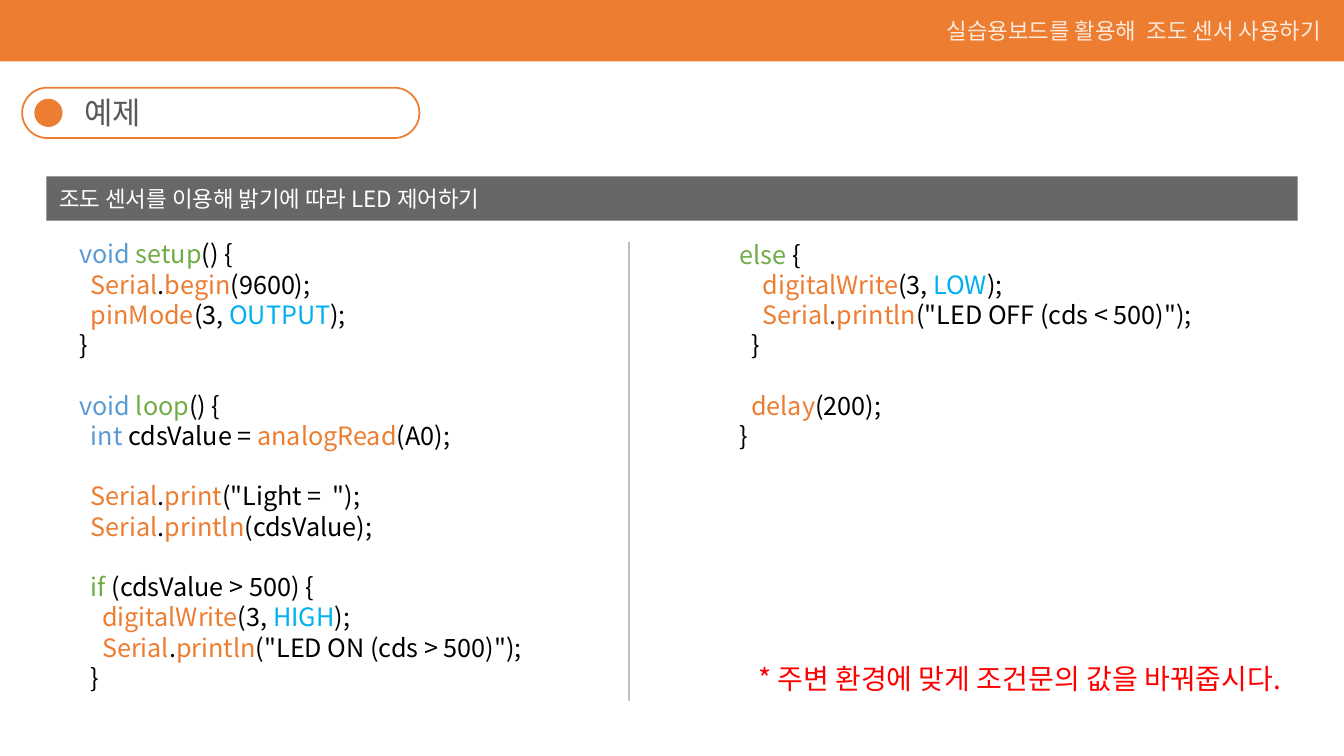
from itertools import groupby
from lxml import etree
from pptx import Presentation
from pptx import util as u
from pptx.dml.color import RGBColor
from pptx.enum import shapes, text
from pptx.oxml import ns

FONT = "Noto Sans CJK KR"
COLORS = {
    "orange": "ED7D31", "blue": "5B9BD5", "green": "70AD47", "cyan": "00B0F0",
    "gray": "595959", "divider": "BFBFBF", "red": "FF0000",
    "white": "FFFFFF", "black": "000000",
}
SYNTAX = {
    "blue": ["void", "int"],
    "green": ["setup", "loop", "if", "else"],
    "orange": ["Serial", "begin", "pinMode", "analogRead", "print", "println",
               "digitalWrite", "delay"],
    "cyan": ["OUTPUT", "HIGH", "LOW"],
}
HEADING = "예제"
LABELS = [
    ("조도 센서를 이용해 밝기에 따라 LED 제어하기", (49, 179, 632, 37), 16, "white", None),
    ("실습용보드를 활용해  조도 센서 사용하기", (929, 12, 404, 37), 16, "white", 83),
    ("* 주변 환경에 맞게 조건문의 값을 바꿔줍시다.", (742, 651, 545, 44), 20, "red", None),
]
CODE = [
    ((69, 232, 516, 464), """void setup() {
  Serial.begin(9600);
  pinMode(3, OUTPUT);
}

void loop() {
  int cdsValue = analogRead(A0);

  Serial.print("Light =  ");
  Serial.println(cdsValue);
  
  if (cdsValue > 500) {
    digitalWrite(3, HIGH);
    Serial.println("LED ON (cds > 500)");
  }"""),
    ((724, 232, 516, 222), """else {
    digitalWrite(3, LOW);
    Serial.println("LED OFF (cds < 500)");
  }
  
  delay(200);
}"""),
]
PANELS = [
    ("RECTANGLE", (0, 0, 1333, 61), "orange", None, None),
    ("ROUNDED_RECTANGLE", (22, 87, 394, 50), "white", "orange", None),
    ("OVAL", (34, 98, 28, 28), "orange", None, None),
    ("RECTANGLE", (46, 175, 1241, 44), "gray", None, 91),
]
WORD_COLORS = {word: color for color, words in SYNTAX.items() for word in words}


def px(value):
    return u.Emu(value * 9144)


def rgb(name):
    return RGBColor.from_string(COLORS[name])


def set_alpha(element, percent):
    color = element.find(".//" + ns.qn("a:srgbClr"))
    etree.SubElement(color, ns.qn("a:alpha")).set("val", str(percent * 1000))


def style(para, size, color, spacing, alpha=None):
    para.line_spacing = spacing
    para.font.size = u.Pt(size)
    para.font.name = FONT
    para.font.color.rgb = rgb(color)
    defaults = para._p.pPr.find(ns.qn("a:defRPr"))
    etree.SubElement(defaults, ns.qn("a:ea")).set("typeface", FONT)
    if alpha:
        set_alpha(defaults, alpha)


def add_panel(page, kind, bounds, fill, line, alpha):
    panel = page.shapes.add_shape(shapes.MSO_SHAPE[kind], *map(px, bounds))
    panel.shadow.inherit = False
    panel.fill.solid()
    panel.fill.fore_color.rgb = rgb(fill)
    if alpha:
        set_alpha(panel._element.spPr, alpha)
    if line:
        panel.line.color.rgb = rgb(line)
        panel.line.width = u.Pt(1.25)
        panel.adjustments[0] = 0.5
    else:
        panel.line.fill.background()


def add_frame(page, bounds):
    frame = page.shapes.add_textbox(*map(px, bounds)).text_frame
    frame.word_wrap = True
    frame.auto_size = text.MSO_AUTO_SIZE.SHAPE_TO_FIT_TEXT
    return frame


def add_label(page, words, bounds, size, color, alpha):
    para = add_frame(page, bounds).paragraphs[0]
    para.add_run().text = words
    style(para, size, color, u.Pt(size * 1.2), alpha)


def color_spans(line):
    tokens = ["".join(group) for _, group in groupby(line, str.isalnum)]
    for color, group in groupby(tokens, lambda token: WORD_COLORS.get(token, "black")):
        yield "".join(group), color


def add_code(page, bounds, source):
    frame = add_frame(page, bounds)
    for index, line in enumerate(source.split("\n")):
        para = frame.add_paragraph() if index else frame.paragraphs[0]
        style(para, 18, "black", u.Pt(21.6))
        for words, color in color_spans(line):
            span = para.add_run()
            span.text = words
            span.font.color.rgb = rgb(color)


def add_divider(page):
    divider = page.shapes.add_connector(
        shapes.MSO_CONNECTOR.STRAIGHT, *map(px, (624, 240, 624, 695)))
    divider.line.color.rgb = rgb("divider")
    divider.line.width = u.Pt(1.75)
    etree.SubElement(divider._element.spPr, ns.qn("a:effectLst"))


def place_heading(page):
    title = page.shapes.title
    title.left, title.top, title.width, title.height = map(px, (74, 95, 326, 38))
    title.text_frame.text = HEADING
    title.text_frame.vertical_anchor = text.MSO_ANCHOR.MIDDLE
    para = title.text_frame.paragraphs[0]
    para.alignment = text.PP_ALIGN.LEFT
    style(para, 22, "gray", 0.9)
    page.shapes._spTree.append(title._element)


def main():
    deck = Presentation()
    deck.slide_width, deck.slide_height = px(1333), px(750)
    page = deck.slides.add_slide(deck.slide_layouts[5])
    for panel in PANELS:
        add_panel(page, *panel)
    for bounds, source in CODE:
        add_code(page, bounds, source)
    add_divider(page)
    for label in LABELS:
        add_label(page, *label)
    place_heading(page)
    deck.save("out.pptx")


if __name__ == "__main__":
    main()
